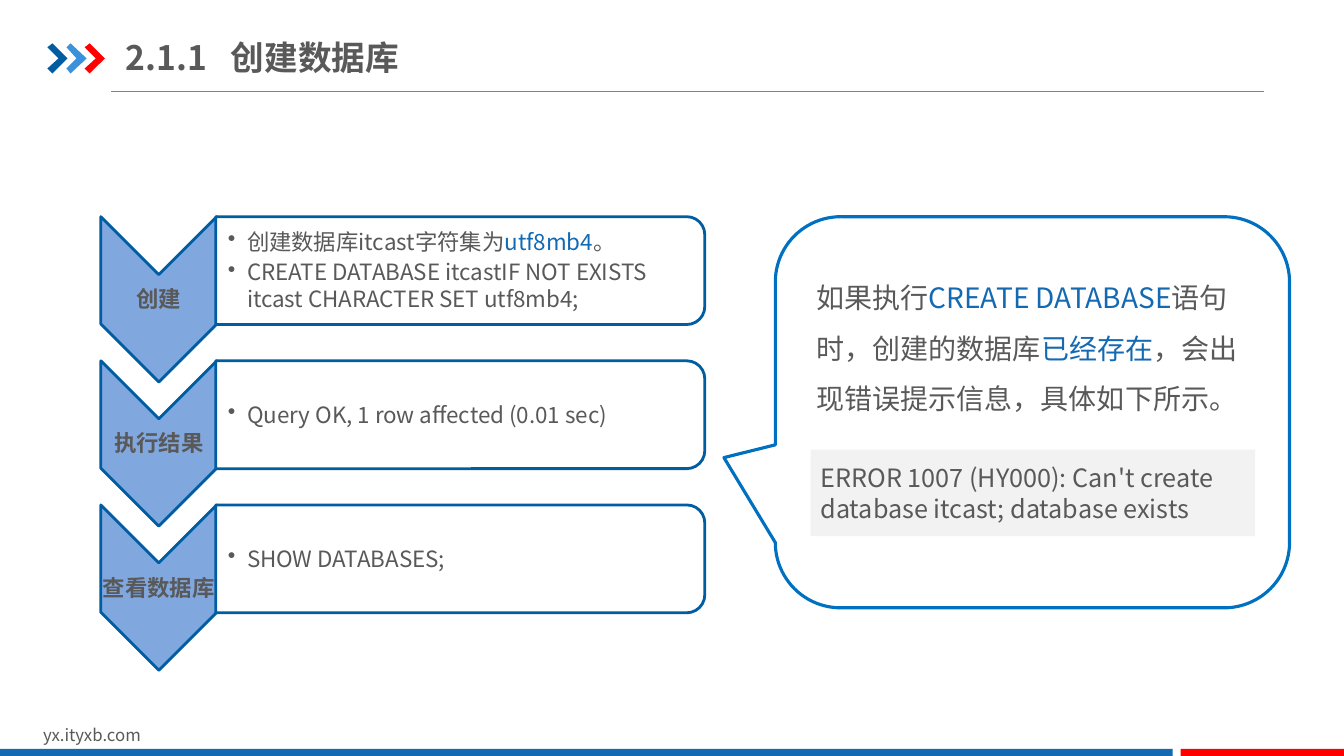
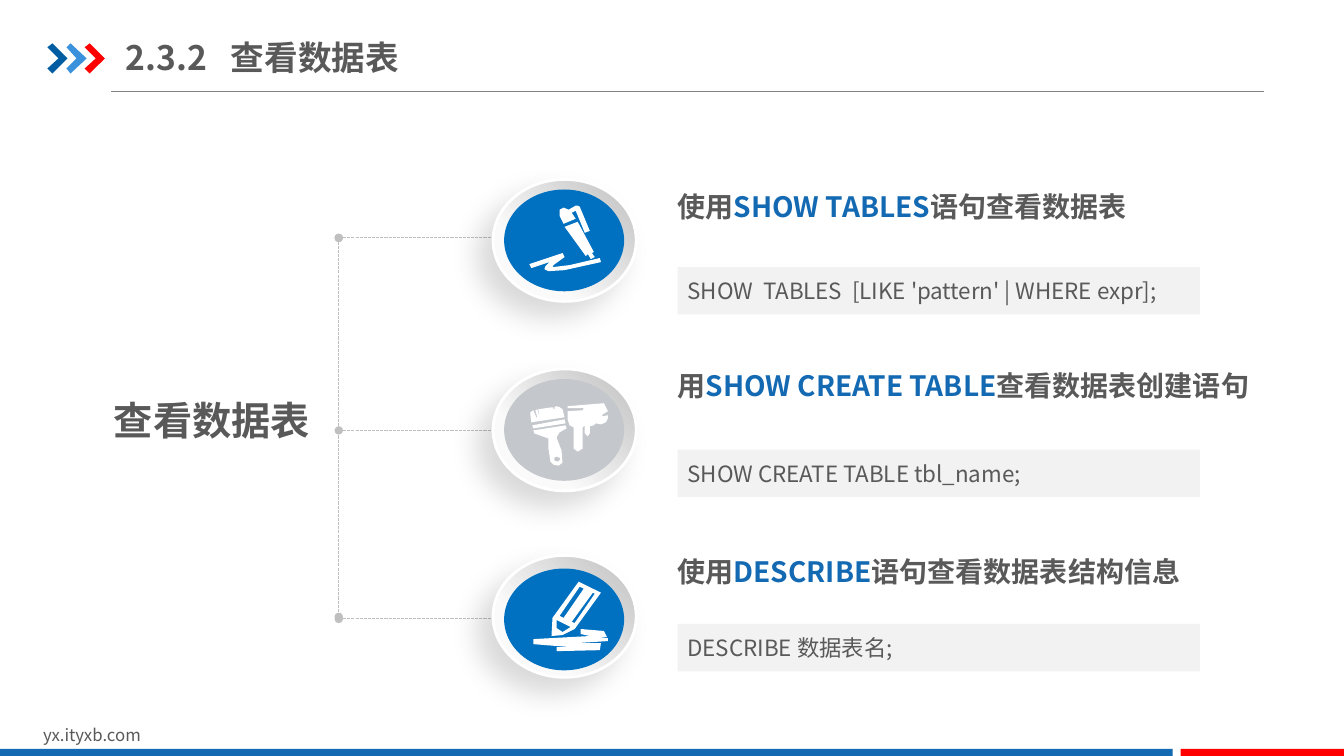
from lxml import etree
from pptx import Presentation
from pptx.dml.color import RGBColor
from pptx.enum import dml, shapes, text
from pptx.oxml import ns
from pptx.util import Inches, Pt

FONT = "Noto Sans CJK SC"
INK, ACCENT, NAVY, BLUE = "595959", "1369B2", "005DA2", "0070C0"
RED, WHITE, PANEL, DOTTED = "FF0000", "FFFFFF", "F2F2F2", "BFBFBF"
PRESET = shapes.MSO_SHAPE
MIDDLE = text.MSO_ANCHOR.MIDDLE

# Content: in a list of text parts, every second part is accented
SITE = "yx.ityxb.com"
STEPS = [
    ("创建", [["创建数据库itcast字符集为", "utf8mb4", "。"],
            ["CREATE DATABASE itcastIF NOT EXISTS itcast CHARACTER SET utf8mb4;"]]),
    ("执行结果", [["Query OK, 1 row affected (0.01 sec)"]]),
    ("查看数据库", [["SHOW DATABASES;"]]),
]
WARNING = ["如果执行", "CREATE DATABASE", "语句时，创建的数据库", "已经存在",
           "，会出现错误提示信息，具体如下所示。"]
ERROR = "ERROR 1007 (HY000): Can't create database itcast; database exists"

# Icon outlines, in hundredths of an inch on the slide
PEN = [
    [(560, 225), (573, 220), (589, 250), (587, 251), (590, 255), (586, 257),
     (583, 252), (581, 254)],
    [(525, 262), (527, 266), (545, 260), (541, 264), (540, 267), (544, 269),
     (560, 268), (596, 260), (595, 256), (565, 263), (548, 265), (549, 263),
     (560, 255), (558, 251)],
    [(564, 208), (559, 206), (555, 208), (555, 214), (559, 222), (571, 217),
     (567, 211), (571, 209), (580, 231), (585, 229), (575, 205), (573, 204),
     (571, 204)],
]
BRUSHES = [
    [(585, 423), (585, 430), (583, 433), (580, 430), (580, 422), (578, 424),
     (578, 445), (573, 448), (569, 445), (569, 424), (565, 422), (563, 416),
     (563, 408), (578, 407), (579, 405), (563, 405), (563, 403), (599, 400),
     (603, 408), (598, 411), (597, 413), (603, 412), (603, 415), (601, 419),
     (596, 421), (591, 420), (589, 422)],
    [(528, 422), (560, 416), (561, 420), (529, 425)],
    [(561, 422), (529, 427), (530, 430), (544, 435), (544, 445), (546, 458),
     (549, 461), (554, 462), (558, 459), (557, 447), (552, 434), (555, 429),
     (562, 425)],
    [(552, 453), (555, 454), (556, 456), (553, 458), (550, 457), (550, 454)],
    [(560, 414), (558, 406), (555, 404), (552, 403), (550, 404), (550, 407),
     (548, 404), (534, 406), (535, 413), (535, 414), (533, 406), (531, 407),
     (533, 414), (532, 414), (529, 407), (526, 409), (526, 411), (527, 419)],
]
PENCIL = [
    [(574, 577), (596, 588), (570, 624), (558, 630), (547, 631), (548, 613)],
    [(595, 645), (596, 638), (572, 638), (603, 636), (603, 633), (594, 633),
     (602, 632), (599, 626), (576, 624), (576, 629), (585, 631), (529, 634),
     (529, 639), (566, 642), (552, 642), (552, 646)],
    [(558, 627), (566, 622), (552, 615), (552, 623)],
    [(588, 588), (567, 617), (570, 618), (590, 589)],
    [(575, 582), (555, 611), (559, 613), (579, 584)],
]
# heading, code, icon, disc colour, tops of: ring, disc, line, heading, code
VIEWS = [
    (["使用", "SHOW TABLES", "语句查看数据表"],
     "SHOW  TABLES  [LIKE 'pattern' | WHERE expr];",
     PEN, BLUE, (1.78, 1.88, 2.36, 1.88, 2.65)),
    (["用", "SHOW CREATE TABLE", "查看数据表创建语句"],
     "SHOW CREATE TABLE tbl_name;",
     BRUSHES, "C4C7CB", (3.66, 3.76, 4.27, 3.66, 4.46)),
    (["使用", "DESCRIBE", "语句查看数据表结构信息"],
     "DESCRIBE 数据表名;",
     PENCIL, BLUE, (5.51, 5.64, 6.14, 5.5, 6.19)),
]


def rgb(value):
    return RGBColor.from_string(value)


def add_xml(parent, tag, **attributes):
    return etree.SubElement(parent, ns.qn(tag), attributes)


def paint(shape, fill=None, line=None, width=2):
    shape.shadow.inherit = False
    if fill:
        shape.fill.solid()
        shape.fill.fore_color.rgb = rgb(fill)
    else:
        shape.fill.background()
    if line:
        shape.line.color.rgb = rgb(line)
        shape.line.width = Pt(width)
    else:
        shape.line.fill.background()
    return shape


def add_shape(page, preset, area, *style):
    return paint(page.shapes.add_shape(preset, *map(Inches, area)), *style)


def add_outline(page, contours, fill):
    builder = page.shapes.build_freeform(*contours[0][0], scale=Inches(0.01))
    for number, contour in enumerate(contours):
        if number:
            builder.move_to(*contour[0])
        builder.add_line_segments(contour[1:], close=True)
    return paint(builder.convert_to_shape(), fill)


def add_line(page, start, end, color, dotted=False):
    line = page.shapes.add_connector(shapes.MSO_CONNECTOR.STRAIGHT,
                                     *map(Inches, start + end))
    line.line.color.rgb = rgb(color)
    line.line.width = Pt(0.75)
    if dotted:
        line.line.dash_style = dml.MSO_LINE.SQUARE_DOT
        for tag in ("a:headEnd", "a:tailEnd"):
            add_xml(line.line._get_or_add_ln(), tag, type="oval")
    add_xml(line._element.spPr, "a:effectLst")


def write(shape, paragraphs, size, bold=False, inset=(0.1, 0.05, 0.1, 0.05),
          anchor=text.MSO_ANCHOR.TOP, align=text.PP_ALIGN.LEFT,
          spacing=None, bullet=False, tab=None):
    frame = shape.text_frame
    frame.word_wrap = True
    frame.vertical_anchor = anchor
    (frame.margin_left, frame.margin_top,
     frame.margin_right, frame.margin_bottom) = map(Inches, inset)
    for number, parts in enumerate(paragraphs):
        para = frame.add_paragraph() if number else frame.paragraphs[0]
        para.alignment = align
        if spacing:
            para.line_spacing = spacing
        if bullet:
            para.space_after = Pt(2.4)
            props = para._p.get_or_add_pPr()
            props.set("marL", str(Inches(0.19)))
            props.set("indent", str(-Inches(0.19)))
            add_xml(props, "a:buChar", char="•")
        if tab:
            stops = add_xml(para._p.get_or_add_pPr(), "a:tabLst")
            add_xml(stops, "a:tab", pos=str(Inches(tab)), algn="l")
        for index, part in enumerate(parts):
            span = para.add_run()
            span.text = part
            span.font.size = Pt(size)
            span.font.bold = bold
            span.font.name = FONT
            span.font.color.rgb = rgb(ACCENT if index % 2 else INK)
            add_xml(span._r.get_or_add_rPr(), "a:ea", typeface=FONT)


def add_text(page, area, paragraphs, size, **style):
    write(page.shapes.add_textbox(*map(Inches, area)), paragraphs, size, **style)


def add_code(page, area, code, size):
    panel = add_shape(page, PRESET.RECTANGLE, area, PANEL)
    write(panel, [[code]], size, anchor=MIDDLE)


def add_page(deck, number, title):
    page = deck.slides.add_slide(deck.slide_layouts[6])
    add_line(page, (1.1, 0.91), (12.54, 0.91), "808080")
    for index, color in enumerate((NAVY, "3992DB", RED)):
        arrow = [(47, 47), (52, 43), (67, 58), (52, 73), (47, 68), (58, 58)]
        add_outline(page, [[(x + 18.5 * index, y) for x, y in arrow]], color)
    add_text(page, (0.33, 7.14, 3.18, 0.3), [[SITE]], 12)
    add_shape(page, PRESET.RECTANGLE, (0, 7.43, 11.63, 0.07), ACCENT)
    add_shape(page, PRESET.RECTANGLE, (11.71, 7.43, 1.62, 0.07), RED)
    add_text(page, (1.25, 0.29, 4.26, 0.55), [[f"{number}\t{title}"]], 24,
             bold=True, inset=(0, 0.07, 0, 0.07), anchor=MIDDLE, tab=1.04)
    return page


def add_turned(page, preset, area, *style):
    """Add a shape turned a quarter clockwise that fills the area."""
    left, top, width, height = area
    shift = (width - height) / 2
    shape = add_shape(page, preset, (left + shift, top - shift, height, width), *style)
    shape.rotation = 90
    return shape


def add_ring(page, top):
    ring = add_shape(page, PRESET.OVAL, (4.89, top, 1.42, 1.21), WHITE, WHITE)
    ring.fill.gradient()
    ring.fill.gradient_angle = 225
    for stop, position, color in zip(ring.fill.gradient_stops, (0, 0.7),
                                     (DOTTED, "FAFAFA")):
        stop.position = position
        stop.color.rgb = rgb(color)
    effects = ring._element.spPr.find(ns.qn("a:effectLst"))
    shadow = add_xml(effects, "a:outerShdw", blurRad=str(Pt(20)),
                     dist=str(Pt(15)), dir="8100000", algn="tr", rotWithShape="0")
    add_xml(add_xml(shadow, "a:srgbClr", val="000000"), "a:alpha", val="15000")


def build_create(deck):
    page = add_page(deck, "2.1.1", "创建数据库")
    # Steps with their statements
    for index, (label, lines) in enumerate(STEPS):
        top = 2.15 + 1.43 * index
        add_turned(page, PRESET.CHEVRON, (1, top, 1.15, 1.64), "81A7DF", NAVY)
        add_text(page, (1, top + 0.57, 1.15, 0.49), [[label]], 16, bold=True,
                 inset=(0.01,) * 4, anchor=MIDDLE, align=text.PP_ALIGN.CENTER)
        add_turned(page, PRESET.ROUND_2_SAME_RECTANGLE, (2.14, top, 4.85, 1.07),
                   WHITE, NAVY)
        add_text(page, (2.14, top + 0.05, 4.8, 0.96), lines, 16, bullet=True,
                 inset=(0.12, 0.01, 0.01, 0.01), anchor=MIDDLE)
    # Warning callout
    callout = add_shape(page, PRESET.ROUNDED_RECTANGULAR_CALLOUT,
                        (7.69, 2.15, 5.1, 3.88), None, BLUE, 2.25)
    for index, value in enumerate((-0.6, 0.116, 0.167)):
        callout.adjustments[index] = value
    add_code(page, (8.04, 4.46, 4.41, 0.86), ERROR, 18)
    add_text(page, (8, 2.57, 4.4, 1.95), [WARNING], 20, spacing=1.5)


def build_view(deck):
    page = add_page(deck, "2.3.2", "查看数据表")
    flush = {"bold": True, "inset": (0, 0, 0, 0)}
    # Dotted tree
    for *_, (_, _, line_top, _, _) in VIEWS:
        add_line(page, (5.64, line_top), (3.36, line_top), DOTTED, True)
    add_line(page, (3.36, 2.36), (3.36, 6.12), DOTTED, True)
    add_text(page, (1.13, 3.93, 2.75, 0.36), [["查看数据表"]], 28, **flush)
    # Icons, headings and statements
    for heading, code, icon, color, tops in VIEWS:
        ring_top, disc_top, _, heading_top, code_top = tops
        add_ring(page, ring_top)
        add_shape(page, PRESET.OVAL, (5, disc_top, 1.19, 1.01), color)
        add_outline(page, icon, WHITE)
        add_text(page, (6.72, heading_top, 5.82, 0.4), [heading], 20, **flush)
        add_code(page, (6.72, code_top, 5.18, 0.47), code, 16)


def main():
    deck = Presentation()
    deck.slide_width, deck.slide_height = Inches(13.33), Inches(7.5)
    build_create(deck)
    build_view(deck)
    deck.save("out.pptx")


if __name__ == "__main__":
    main()
